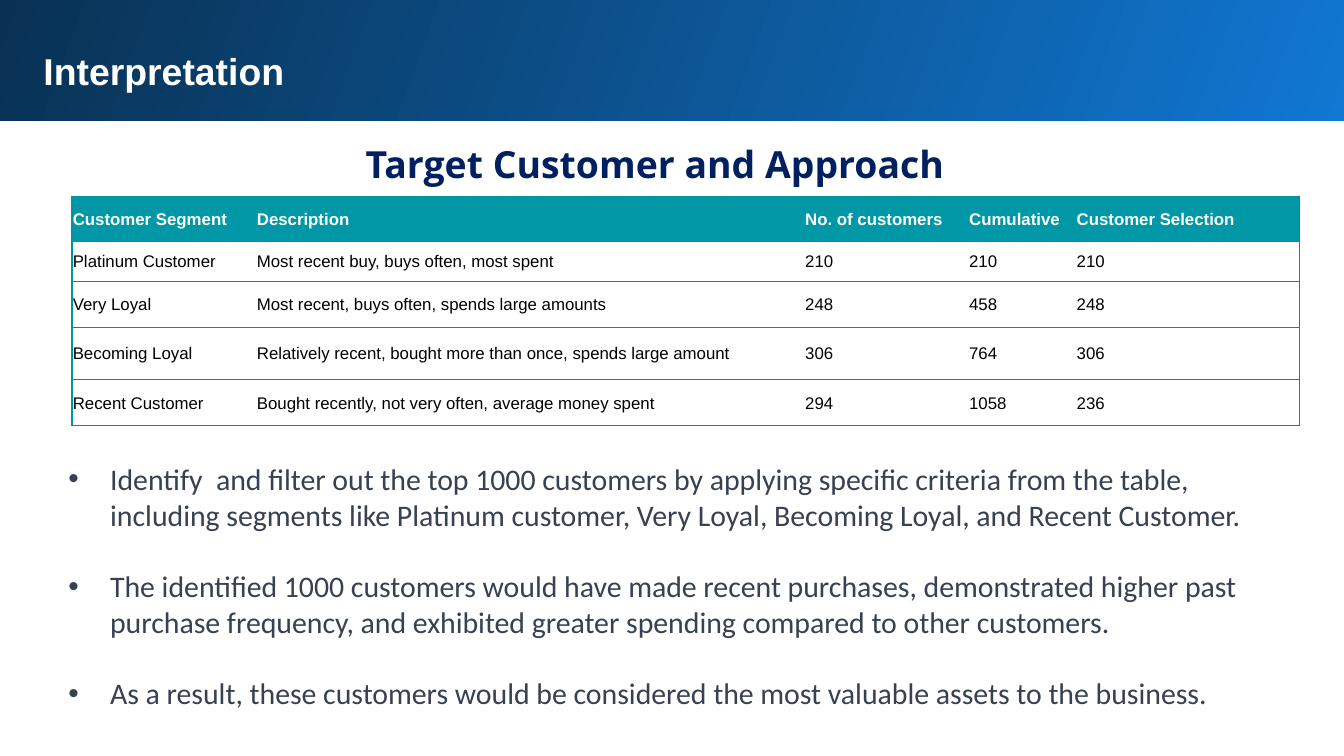
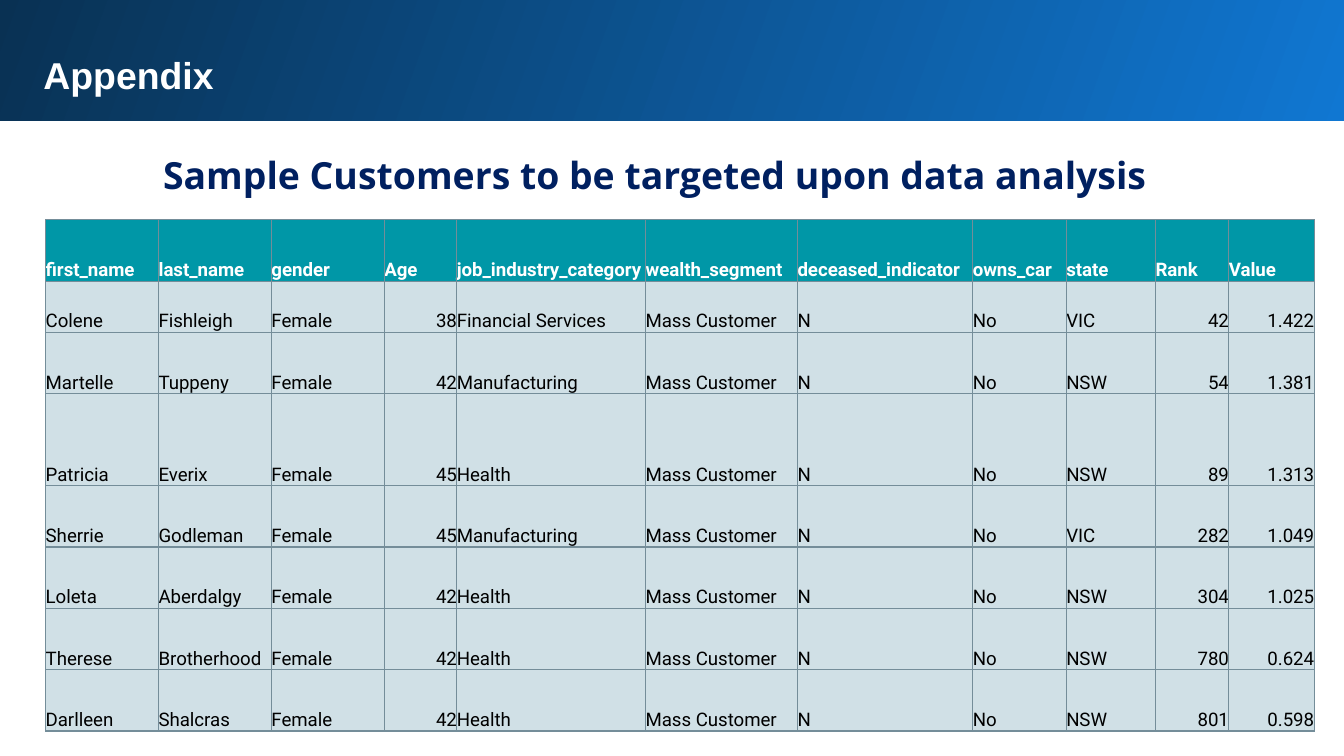
import pptx
import pptx.util
import pptx.dml.color
import pptx.enum.shapes
import pptx.enum.text
import pptx.oxml.ns
import lxml.etree

COLORS = {
    "band_light": "1077D2", "band_dark": "093153", "white": "FFFFFF", "black": "000000",
    "heading": "002060", "body": "374151", "header": "0097A7", "edge": "0094A3",
    "rule": "5A6668", "grid": "748D99", "cell": "D0E0E6",
}
ALIGN = pptx.enum.text.PP_ALIGN
ANCHOR = pptx.enum.text.MSO_ANCHOR
NO_STYLE = "{2D5ABB26-0587-4C30-8999-92F81FD0307C}"

# Widescreen 16:9
deck = pptx.Presentation()
deck.slide_width = pptx.util.Inches(10)
deck.slide_height = deck.slide_width * 9 // 16
# The slide is 100 grid units wide; heights use the same unit
UNIT = deck.slide_width / 100


def write(frame, texts, size, font, color, bold=False, align=ALIGN.LEFT):
    """Fill a text frame with one paragraph per text and format every run."""
    frame.word_wrap = True
    frame.text = "\n".join(texts)
    for para in frame.paragraphs:
        para.alignment = align
        for span in para.runs:
            span.font.size = pptx.util.Pt(size)
            span.font.name = font
            span.font.bold = bold
            span.font.color.rgb = pptx.dml.color.RGBColor.from_string(COLORS[color])


def add_box(page, left, top, width, height, inset):
    """Add a text box in grid units with equal insets and return its frame."""
    box = page.shapes.add_textbox(*[round(n * UNIT) for n in (left, top, width, height)])
    frame = box.text_frame
    frame.margin_left = frame.margin_right = round(inset * UNIT)
    frame.margin_top = frame.margin_bottom = round(inset * UNIT)
    return frame


# Content of the two slides
slides = [
    {
        "title": "Interpretation", "title_top": 2.6,
        "heading": "Target Customer and Approach ", "heading_top": 9,
        "left": 5.35, "top": 14.6,
        "columns": [13.7, 40.8, 12.2, 8, 16.65],
        "rows": [3.4, 2.95, 3.45, 3.85, 3.45],
        "font": "Arial", "size": 9, "anchor": ANCHOR.MIDDLE, "inset": 0.07,
        "fill": None, "numbers": ALIGN.LEFT,
        "table": [
            ["Customer Segment", "Description", "No. of customers", "Cumulative", "Customer Selection"],
            ["Platinum Customer", "Most recent buy, buys often, most spent", "210", "210", "210"],
            ["Very Loyal", "Most recent, buys often, spends large amounts", "248", "458", "248"],
            ["Becoming Loyal", "Relatively recent, bought more than once, spends large amount",
             "306", "764", "306"],
            ["Recent Customer", "Bought recently, not very often, average money spent",
             "294", "1058", "236"],
        ],
        "bullets": [
            "Identify  and filter out the top 1000 customers by applying specific criteria from "
            "the table, including segments like Platinum customer, Very Loyal, Becoming Loyal, "
            "and Recent Customer.",
            "The identified 1000 customers would have made recent purchases, demonstrated higher "
            "past purchase frequency, and exhibited greater spending compared to other customers.",
            "As a result, these customers would be considered the most valuable assets to the "
            "business.",
        ],
    },
    {
        "title": "Appendix", "title_top": 2.9,
        "heading": "Sample Customers to be targeted upon data analysis ", "heading_top": 9.8,
        "left": 3.4, "top": 16.35,
        "columns": [8.4, 8.4, 8.4, 5.4, 14.05, 11.3, 13.05, 6.95, 6.65, 5.45, 6.35],
        "rows": [4.57, 3.8, 4.57, 6.85, 4.57, 4.57, 4.57, 4.57],
        "font": "Roboto", "size": 10, "anchor": ANCHOR.BOTTOM, "inset": 0,
        "fill": "cell", "numbers": ALIGN.RIGHT,
        "table": [
            ["first_name", "last_name", "gender", "Age", "job_industry_category", "wealth_segment",
             "deceased_indicator", "owns_car", "state", "Rank", "Value"],
        ] + [
            [first, last, "Female", age, industry, "Mass Customer", "N", "No", state, rank, value]
            for first, last, age, industry, state, rank, value in [
                ("Colene", "Fishleigh", "38", "Financial Services", "VIC", "42", "1.422"),
                ("Martelle", "Tuppeny", "42", "Manufacturing", "NSW", "54", "1.381"),
                ("Patricia", "Everix", "45", "Health", "NSW", "89", "1.313"),
                ("Sherrie", "Godleman", "45", "Manufacturing", "VIC", "282", "1.049"),
                ("Loleta", "Aberdalgy", "42", "Health", "NSW", "304", "1.025"),
                ("Therese", "Brotherhood", "42", "Health", "NSW", "780", "0.624"),
                ("Darlleen", "Shalcras", "42", "Health", "NSW", "801", "0.598"),
            ]
        ],
        "bullets": [],
    },
]

qn = pptx.oxml.ns.qn
for content in slides:
    page = deck.slides.add_slide(deck.slide_layouts[6])

    # Gradient band
    band = page.shapes.add_shape(
        pptx.enum.shapes.MSO_SHAPE.RECTANGLE,
        *[round(n * UNIT) for n in (-0.2, -0.2, 100.5, 9.2)])
    band.shadow.inherit = False
    band.line.fill.background()
    band.fill.gradient()
    band.fill.gradient_angle = 160
    for stop, name in zip(band.fill.gradient_stops, ("band_light", "band_dark")):
        stop.color.rgb = pptx.dml.color.RGBColor.from_string(COLORS[name])

    # Title and heading
    write(add_box(page, 2.25, content["title_top"], 93.7, 8.3, 1),
          [content["title"]], 20, "Arial", "white", True)
    frame = add_box(page, 2.25, content["heading_top"], 93.7, 5.6, 1)
    write(frame, [content["heading"]], 20, "Open Sans", "heading", True, ALIGN.CENTER)
    frame.paragraphs[0].line_spacing = 1.15

    # Table
    columns, rows = content["columns"], content["rows"]
    holder = page.shapes.add_table(
        len(rows), len(columns),
        *[round(n * UNIT) for n in (content["left"], content["top"], sum(columns), sum(rows))])
    table = holder.table
    table.horz_banding = False
    holder._element.find(".//" + qn("a:tableStyleId")).text = NO_STYLE
    for column, width in zip(table.columns, columns):
        column.width = round(width * UNIT)
    for row, height in zip(table.rows, rows):
        row.height = round(height * UNIT)

    for r, texts in enumerate(content["table"]):
        for c, text in enumerate(texts):
            cell = table.cell(r, c)
            header = r == 0
            number = not header and text.replace(".", "").isdigit()
            write(cell.text_frame, [text], content["size"], content["font"],
                  "white" if header else "black", header,
                  content["numbers"] if number else ALIGN.LEFT)
            cell.vertical_anchor = content["anchor"]
            cell.margin_left = cell.margin_right = cell.margin_top = round(content["inset"] * UNIT)
            cell.margin_bottom = 0

            # Borders: a full grid on filled cells, otherwise rules and outer edges
            if content["fill"]:
                borders = dict.fromkeys("LRTB", "grid")
            else:
                borders = {
                    "L": "edge" if c == 0 else None,
                    "R": "rule" if c == len(columns) - 1 else None,
                    "T": "edge" if r <= 1 else "rule",
                    "B": "edge" if header else "rule",
                }
            for side, name in borders.items():
                line = lxml.etree.SubElement(
                    cell._tc.get_or_add_tcPr(), qn("a:ln" + side), w=str(pptx.util.Pt(0.75)))
                if name:
                    paint = lxml.etree.SubElement(line, qn("a:solidFill"))
                    lxml.etree.SubElement(paint, qn("a:srgbClr"), val=COLORS[name])
                else:
                    lxml.etree.SubElement(line, qn("a:noFill"))

            fill = "header" if header else content["fill"]
            if fill:
                cell.fill.solid()
                cell.fill.fore_color.rgb = pptx.dml.color.RGBColor.from_string(COLORS[fill])
            else:
                cell.fill.background()

    # Bullets
    if content["bullets"]:
        frame = add_box(page, 4.6, 33.8, 91.3, 19.9, 0.5)
        write(frame, content["bullets"], 16, "Calibri", "body")
        for index, para in enumerate(frame.paragraphs):
            para.space_before = pptx.util.Pt(19 if index else 0)
            props = para._p.get_or_add_pPr()
            props.set("marL", str(round(3.1 * UNIT)))
            props.set("indent", str(round(-3.1 * UNIT)))
            lxml.etree.SubElement(props, qn("a:buFont"), typeface="Arial")
            lxml.etree.SubElement(props, qn("a:buChar"), char="\u2022")

deck.save("out.pptx")
